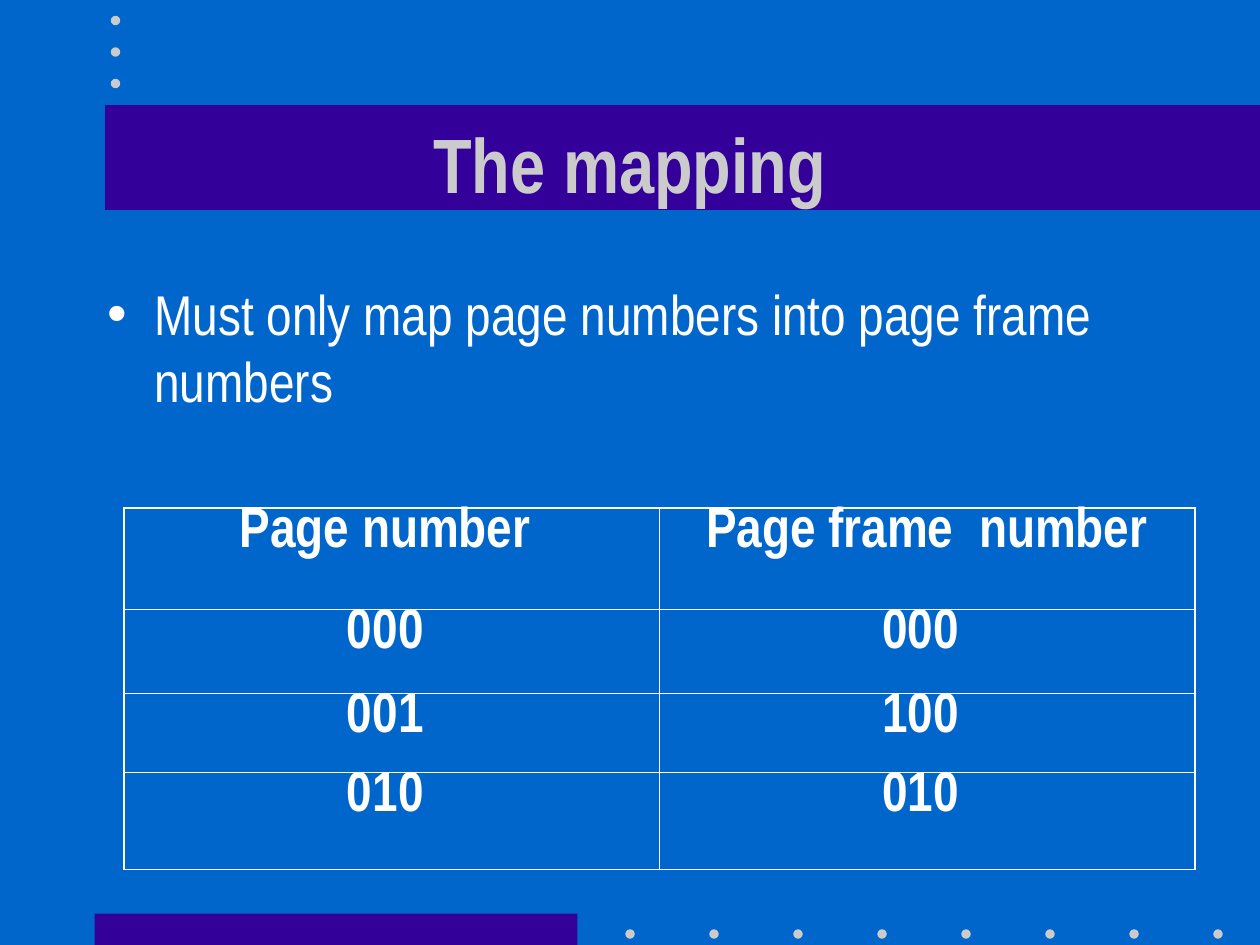
from dataclasses import dataclass

import pptx
import pptx.dml.color
import pptx.enum.shapes
import pptx.enum.text
import pptx.oxml
import pptx.oxml.ns
import pptx.util
from lxml import etree

RGBColor = pptx.dml.color.RGBColor
MSO_SHAPE = pptx.enum.shapes.MSO_SHAPE
PP_ALIGN = pptx.enum.text.PP_ALIGN
MSO_ANCHOR = pptx.enum.text.MSO_ANCHOR
qn = pptx.oxml.ns.qn

BLUE = RGBColor(0x00, 0x66, 0xCC)
PURPLE = RGBColor(0x33, 0x00, 0x99)
GREY = RGBColor(0xCB, 0xCB, 0xCB)
WHITE = RGBColor(0xFF, 0xFF, 0xFF)
FONT = "Arial Narrow"

WIDTH, HEIGHT = pptx.util.Inches(10), pptx.util.Inches(7.5)
COLS, ROWS = 120, 90  # slide grid
COL, ROW = WIDTH // COLS, HEIGHT // ROWS
DOT = 0.9  # dot diameter in grid columns
OUTER, INNER = 1.08, 0.45  # table line widths in points


@dataclass(frozen=True)
class Box:
    """A rectangle in grid columns and rows."""
    col: float
    row: float
    cols: float
    rows: float

    def emu(self) -> tuple[int, int, int, int]:
        return (round(self.col * COL), round(self.row * ROW),
                round(self.cols * COL), round(self.rows * ROW))


@dataclass(frozen=True)
class DotLine:
    col: float
    row: float
    count: int
    col_step: float = 0
    row_step: float = 0


BARS = (Box(9, 87, 46, 3), Box(10, 10, 110, 10))
DOT_LINES = (DotLine(59.55, 88.5, 8, col_step=8),
             DotLine(10.55, 1.5, 3, row_step=3))
TITLE_BOX = Box(9, 8, 102, 15)
BODY_BOX = Box(9, 26, 102, 54)
TABLE_BOX = Box(11.8, 48.4, 102, 34.4)
ROW_HEIGHTS = (9.6, 8, 7.6, 9.2)
MAPPING = (("Page number ", "Page frame  number"),
           ("000 ", "000 "),
           ("001 ", "100 "),
           ("010 ", "010 "))


def add_filled(s, kind, box: Box, color: RGBColor) -> None:
    sp = s.shapes.add_shape(kind, *box.emu())
    sp.shadow.inherit = False
    sp.fill.solid()
    sp.fill.fore_color.rgb = color
    sp.line.fill.background()


def add_dots(s, line: DotLine) -> None:
    for i in range(line.count):
        box = Box(line.col + i * line.col_step,
                  line.row + i * line.row_step, DOT, DOT)
        add_filled(s, MSO_SHAPE.OVAL, box, GREY)


def add_run(p, text: str, size: float, color: RGBColor, bold: bool) -> None:
    r = p.add_run()
    r.text = text
    r.font.name = FONT
    r.font.size = pptx.util.Pt(size)
    r.font.bold = bold
    r.font.color.rgb = color


def place(sp, box: Box, anchor):
    """Move a placeholder to the front and return its first paragraph."""
    sp.left, sp.top, sp.width, sp.height = box.emu()
    parent = sp._element.getparent()
    parent.append(sp._element)
    tf = sp.text_frame
    tf.word_wrap = True
    tf.auto_size = pptx.enum.text.MSO_AUTO_SIZE.NONE
    tf.vertical_anchor = anchor
    p = tf.paragraphs[0]
    p.space_before = pptx.util.Pt(0)
    return p


def add_bullet(p, indent: int) -> None:
    pPr = p._p.get_or_add_pPr()
    pPr.set("marL", str(indent))
    pPr.set("indent", str(-indent))
    color = etree.SubElement(pPr, qn("a:buClr"))
    etree.SubElement(color, qn("a:srgbClr"), val=str(WHITE))
    etree.SubElement(pPr, qn("a:buFont"), typeface="Arial")
    etree.SubElement(pPr, qn("a:buChar"), char="•")


def set_borders(cell, widths: dict[str, float]) -> None:
    tcPr = cell._tc.get_or_add_tcPr()
    for side, width in widths.items():
        ln = etree.SubElement(tcPr, qn(f"a:ln{side}"),
                              w=str(pptx.util.Pt(width)))
        fill = etree.SubElement(ln, qn("a:solidFill"))
        etree.SubElement(fill, qn("a:srgbClr"), val=str(WHITE))


def add_mapping_table(s) -> None:
    n_rows, n_cols = len(MAPPING), len(MAPPING[0])
    table = s.shapes.add_table(n_rows, n_cols, *TABLE_BOX.emu()).table
    table.first_row = table.horz_banding = False
    for i, values in enumerate(MAPPING):
        table.rows[i].height = round(ROW_HEIGHTS[i] * ROW)
        for j, text in enumerate(values):
            cell = table.cell(i, j)
            edges = {"L": j == 0, "R": j == n_cols - 1,
                     "T": i == 0, "B": i == n_rows - 1}
            set_borders(cell, {side: OUTER if outer else INNER
                               for side, outer in edges.items()})
            cell.fill.background()
            cell.vertical_anchor = MSO_ANCHOR.TOP
            p = cell.text_frame.paragraphs[0]
            p.alignment = PP_ALIGN.CENTER
            p.line_spacing = 0.78
            add_run(p, text, 32, WHITE, True)


def main() -> None:
    prs = pptx.Presentation()
    prs.slide_width, prs.slide_height = WIDTH, HEIGHT
    s = prs.slides.add_slide(prs.slide_layouts[1])
    s.background.fill.solid()
    s.background.fill.fore_color.rgb = BLUE

    for bar in BARS:
        add_filled(s, MSO_SHAPE.RECTANGLE, bar, PURPLE)
    for line in DOT_LINES:
        add_dots(s, line)

    p = place(s.shapes.title, TITLE_BOX, MSO_ANCHOR.MIDDLE)
    p.alignment = PP_ALIGN.CENTER
    add_run(p, "The mapping", 44, GREY, True)

    p = place(s.placeholders[1], BODY_BOX, MSO_ANCHOR.TOP)
    add_bullet(p, round(4.5 * COL))
    add_run(p, "Must only map page numbers into page frame numbers",
            32, WHITE, False)

    add_mapping_table(s)
    prs.save("out.pptx")


if __name__ == "__main__":
    main()
